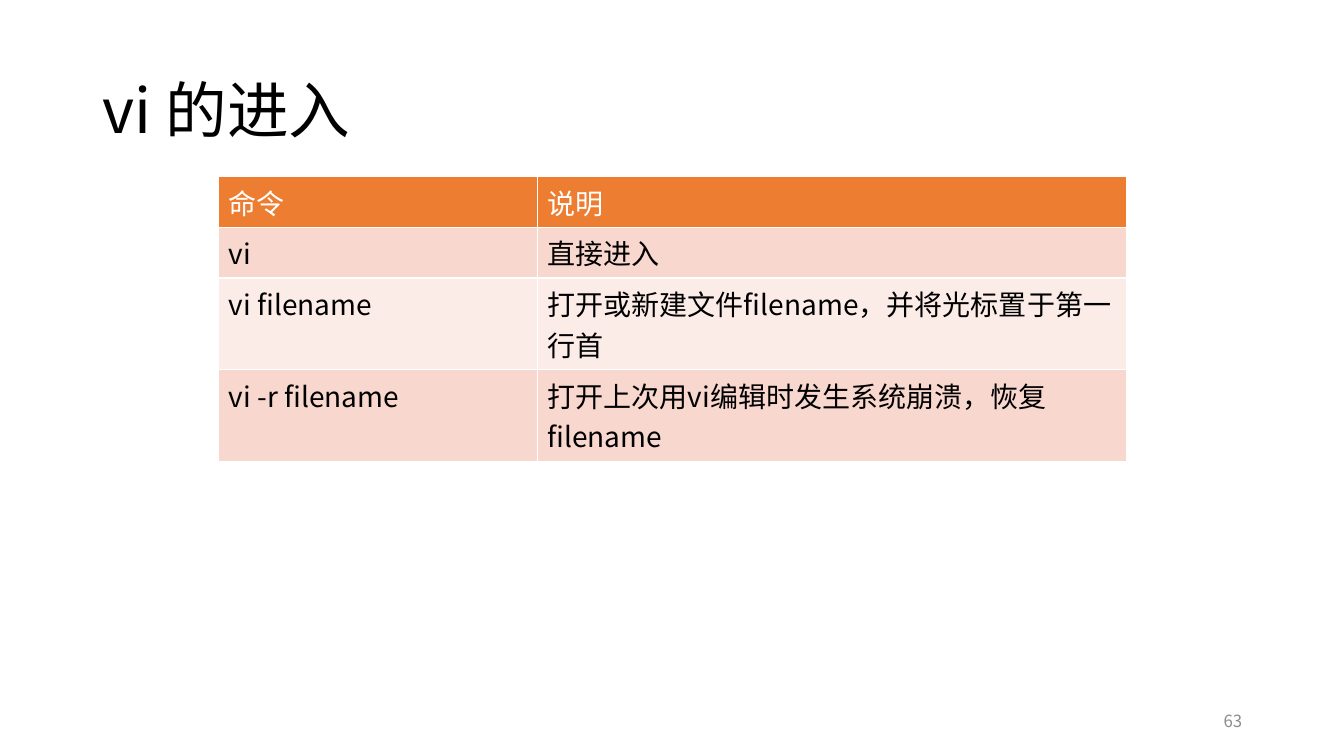
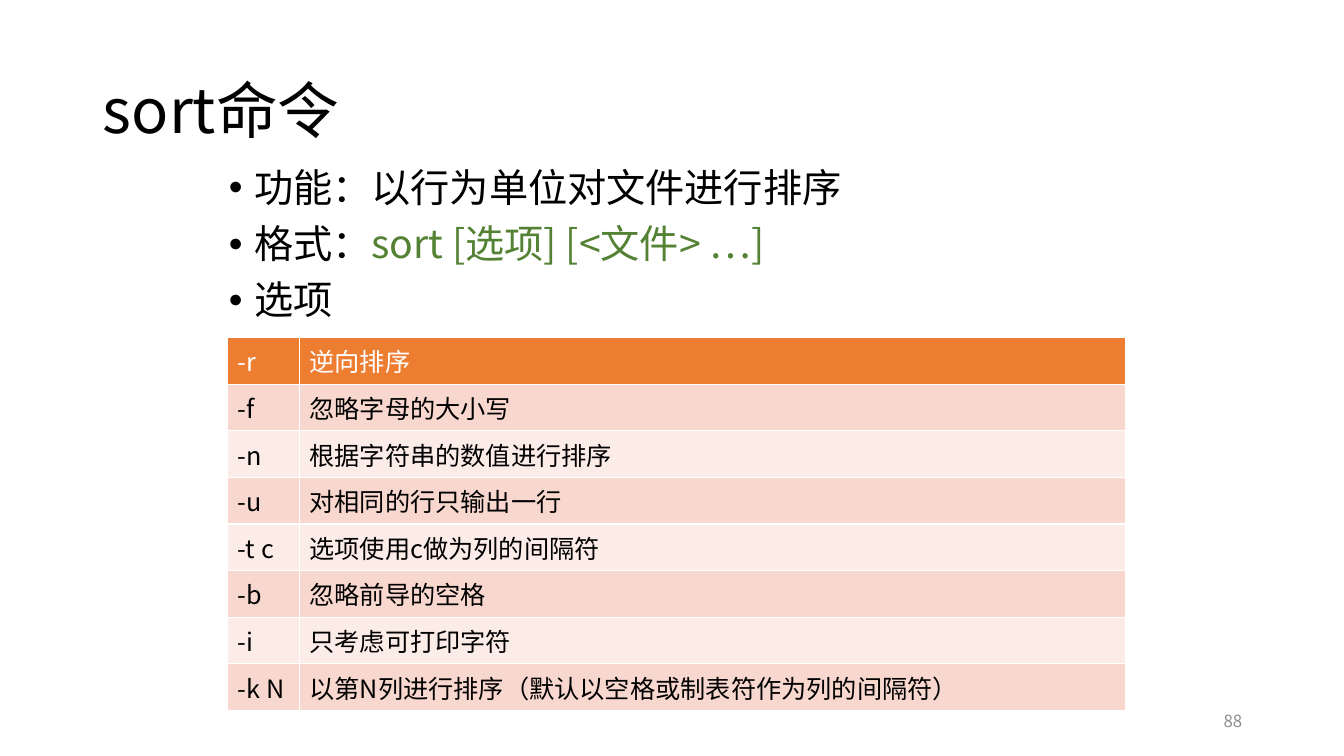
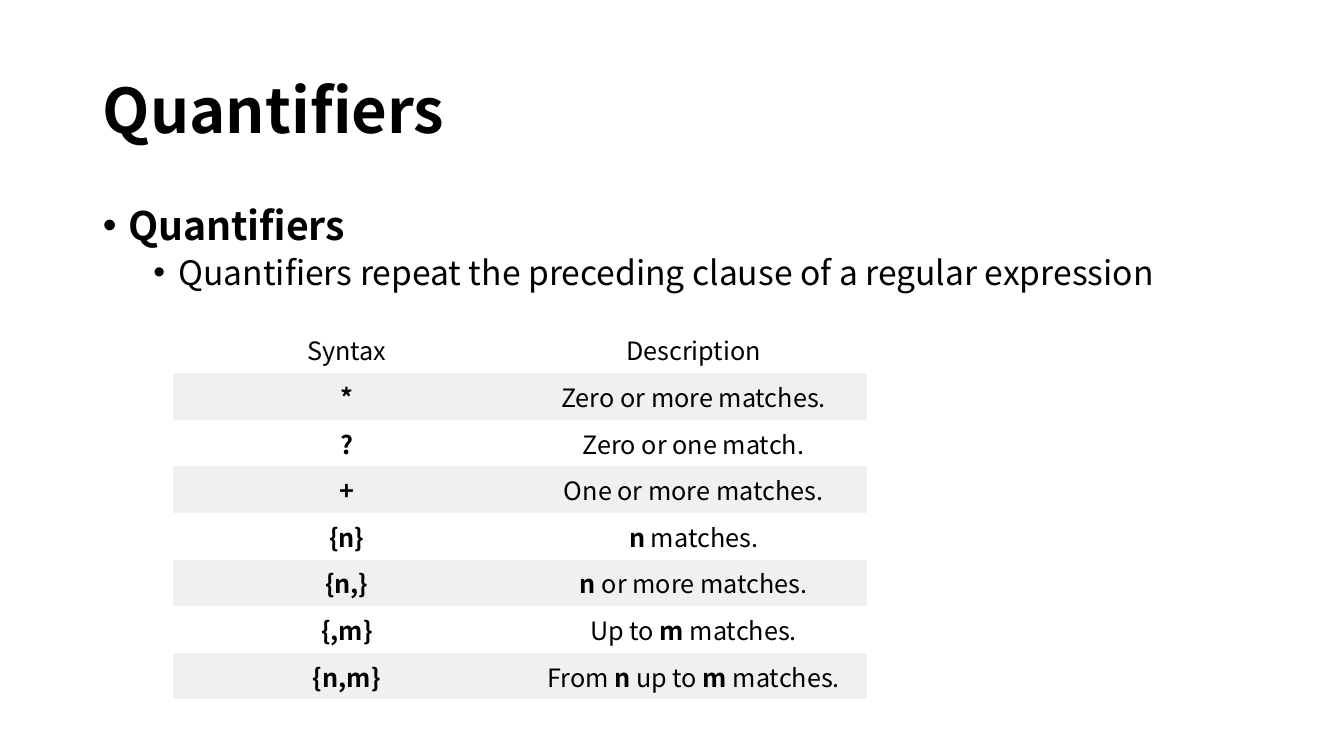
from dataclasses import dataclass

from lxml import etree
from pptx import Presentation
from pptx.dml.color import RGBColor
from pptx.enum.text import MSO_ANCHOR, MSO_AUTO_SIZE, PP_ALIGN
from pptx.oxml.ns import qn
from pptx.util import Inches, Pt

LEFT, CENTER, RIGHT = PP_ALIGN.LEFT, PP_ALIGN.CENTER, PP_ALIGN.RIGHT
TOP, MIDDLE = MSO_ANCHOR.TOP, MSO_ANCHOR.MIDDLE
NO_FIT = MSO_AUTO_SIZE.NONE
TITLE_AND_BODY, TITLE_ONLY = 1, 5
PLAIN_TABLE_STYLE = "{2D5ABB26-0587-4C30-8999-92F81FD0307C}"


@dataclass(frozen=True)
class Theme:
    font: str = "Noto Sans CJK SC"
    ink: str = "000000"
    paper: str = "FFFFFF"
    header: str = "ED7D31"
    band_dark: str = "F8D7CE"
    band_light: str = "FCECE8"
    band_gray: str = "F0F0F0"
    syntax: str = "548235"
    page_number: str = "8C8C8C"
    title_size: int = 44
    body_sizes: tuple = (28, 24)
    number_size: int = 12


THEME = Theme()


def write(paragraph, text, size, colour=THEME.ink, accent=None):
    """Parts between bars are bold, or take the accent colour if one is given."""
    for index, part in enumerate(text.split("|")):
        if not part:
            continue
        marked = index % 2 == 1
        run = paragraph.add_run()
        run.text = part
        run.font.name = THEME.font
        run.font.size = Pt(size)
        run.font.bold = marked and accent is None
        run.font.color.rgb = RGBColor.from_string(accent if marked and accent else colour)
        east_asian = etree.SubElement(run.font._element, qn("a:ea"))
        east_asian.set("typeface", THEME.font)


def add_grid(slide, spec):
    rows, widths, heights = spec["rows"], spec["widths"], spec["heights"]
    left, top = spec["at"]
    frame = slide.shapes.add_table(
        len(rows), len(widths), Inches(left), Inches(top),
        Inches(sum(widths)), Inches(sum(heights)))
    table = frame.table
    table._tbl.tblPr.find(qn("a:tableStyleId")).text = PLAIN_TABLE_STYLE
    for column, width in zip(table.columns, widths):
        column.width = Inches(width)
    for r, row in enumerate(rows):
        table.rows[r].height = Inches(heights[r])
        header_fill, *bands = spec["fills"]
        fill = header_fill if r == 0 else bands[(r - 1) % len(bands)]
        for c, text in enumerate(row):
            cell = table.cell(r, c)
            cell.vertical_anchor = spec["anchor"]
            paragraph = cell.text_frame.paragraphs[0]
            paragraph.alignment = spec["align"]
            write(paragraph, text, spec["size"], spec["header_ink"] if r == 0 else THEME.ink)
            if spec["ruled"]:
                properties = cell._tc.get_or_add_tcPr()
                for side in ("a:lnL", "a:lnR", "a:lnT", "a:lnB"):
                    line = etree.SubElement(properties, qn(side), w=str(Pt(1)))
                    paint = etree.SubElement(line, qn("a:solidFill"))
                    etree.SubElement(paint, qn("a:srgbClr"), val=THEME.paper)
            if fill:
                cell.fill.solid()
                cell.fill.fore_color.rgb = RGBColor.from_string(fill)
            else:
                cell.fill.background()


ORANGE_GRID = dict(
    fills=(THEME.header, THEME.band_dark, THEME.band_light),
    header_ink=THEME.paper, ruled=True, align=LEFT, anchor=TOP)
GRAY_GRID = dict(
    fills=(None, THEME.band_gray, None),
    header_ink=THEME.ink, ruled=False, align=CENTER, anchor=MIDDLE)

PAGES = [
    dict(
        title="vi 的进入",
        number="63",
        grid=dict(
            ORANGE_GRID, at=(2.17, 1.75), widths=(3.16, 5.84),
            heights=(0.5, 0.5, 0.91, 0.91), size=20,
            rows=[
                ("命令", "说明"),
                ("vi", "直接进入"),
                ("vi filename", "打开或新建文件filename，并将光标置于第一行首"),
                ("vi -r filename", "打开上次用vi编辑时发生系统崩溃，恢复filename"),
            ]),
    ),
    dict(
        title="sort命令",
        number="88",
        body_at=(2.17, 1.62, 9, 5.08),
        accent=THEME.syntax,
        bullets=[
            (0, "功能：以行为单位对文件进行排序"),
            (0, "格式：|sort [选项] [<文件> …]|"),
            (0, "选项"),
        ],
        grid=dict(
            ORANGE_GRID, at=(2.26, 3.35), widths=(0.71, 8.19),
            heights=(0.46,) * 8, size=18,
            rows=[
                ("-r", "逆向排序"),
                ("-f", "忽略字母的大小写"),
                ("-n", "根据字符串的数值进行排序"),
                ("-u", "对相同的行只输出一行"),
                ("-t c", "选项使用c做为列的间隔符"),
                ("-b", "忽略前导的空格"),
                ("-i", "只考虑可打印字符"),
                ("-k N", "以第N列进行排序（默认以空格或制表符作为列的间隔符）"),
            ]),
    ),
    dict(
        title="|Quantifiers|",
        body_at=(0.92, 2, 11.5, 4.76),
        bullets=[
            (0, "|Quantifiers|"),
            (1, "Quantifiers repeat the preceding clause of a regular expression"),
        ],
        grid=dict(
            GRAY_GRID, at=(1.72, 3.24), widths=(3.44, 3.44),
            heights=(0.46,) * 8, size=18,
            rows=[
                ("Syntax", "Description"),
                ("|*|", "Zero or more matches."),
                ("|?|", "Zero or one match."),
                ("|+|", "One or more matches."),
                ("|{n}|", "|n| matches."),
                ("|{n,}|", "|n| or more matches."),
                ("|{,m}|", "Up to |m| matches."),
                ("|{n,m}|", "From |n| up to |m| matches."),
            ]),
    ),
]

deck = Presentation()
deck.slide_width, deck.slide_height = Inches(13.33), Inches(7.5)

for page in PAGES:
    layout = TITLE_AND_BODY if "bullets" in page else TITLE_ONLY
    slide = deck.slides.add_slide(deck.slide_layouts[layout])

    title = slide.shapes.title
    title.left, title.top, title.width, title.height = map(Inches, (0.92, 0.4, 11.5, 1.45))
    title.text_frame.auto_size = NO_FIT
    title.text_frame.vertical_anchor = MIDDLE
    heading = title.text_frame.paragraphs[0]
    heading.alignment = LEFT
    heading.line_spacing = 0.9
    write(heading, page["title"], THEME.title_size)

    if "bullets" in page:
        body = slide.placeholders[1]
        body.left, body.top, body.width, body.height = map(Inches, page["body_at"])
        body.text_frame.auto_size = NO_FIT
        for index, (level, text) in enumerate(page["bullets"]):
            item = body.text_frame.paragraphs[0] if index == 0 else body.text_frame.add_paragraph()
            item.level = level
            properties = item._p.get_or_add_pPr()
            properties.set("marL", str(Inches(0.25 + 0.5 * level)))
            properties.set("indent", str(Inches(-0.25)))
            etree.SubElement(properties, qn("a:buFont"), typeface="Arial")
            etree.SubElement(properties, qn("a:buChar"), char="•")
            item.line_spacing = 0.9
            item.space_before = Pt(0 if index == 0 else 10 - 5 * level)
            write(item, text, THEME.body_sizes[level], accent=page.get("accent"))

    add_grid(slide, page["grid"])

    if "number" in page:
        footer = slide.shapes.add_textbox(Inches(9.42), Inches(6.95), Inches(3), Inches(0.4))
        footer.text_frame.word_wrap = True
        footer.text_frame.vertical_anchor = MIDDLE
        page_number = footer.text_frame.paragraphs[0]
        page_number.alignment = RIGHT
        write(page_number, page["number"], THEME.number_size, THEME.page_number)

deck.save("out.pptx")
